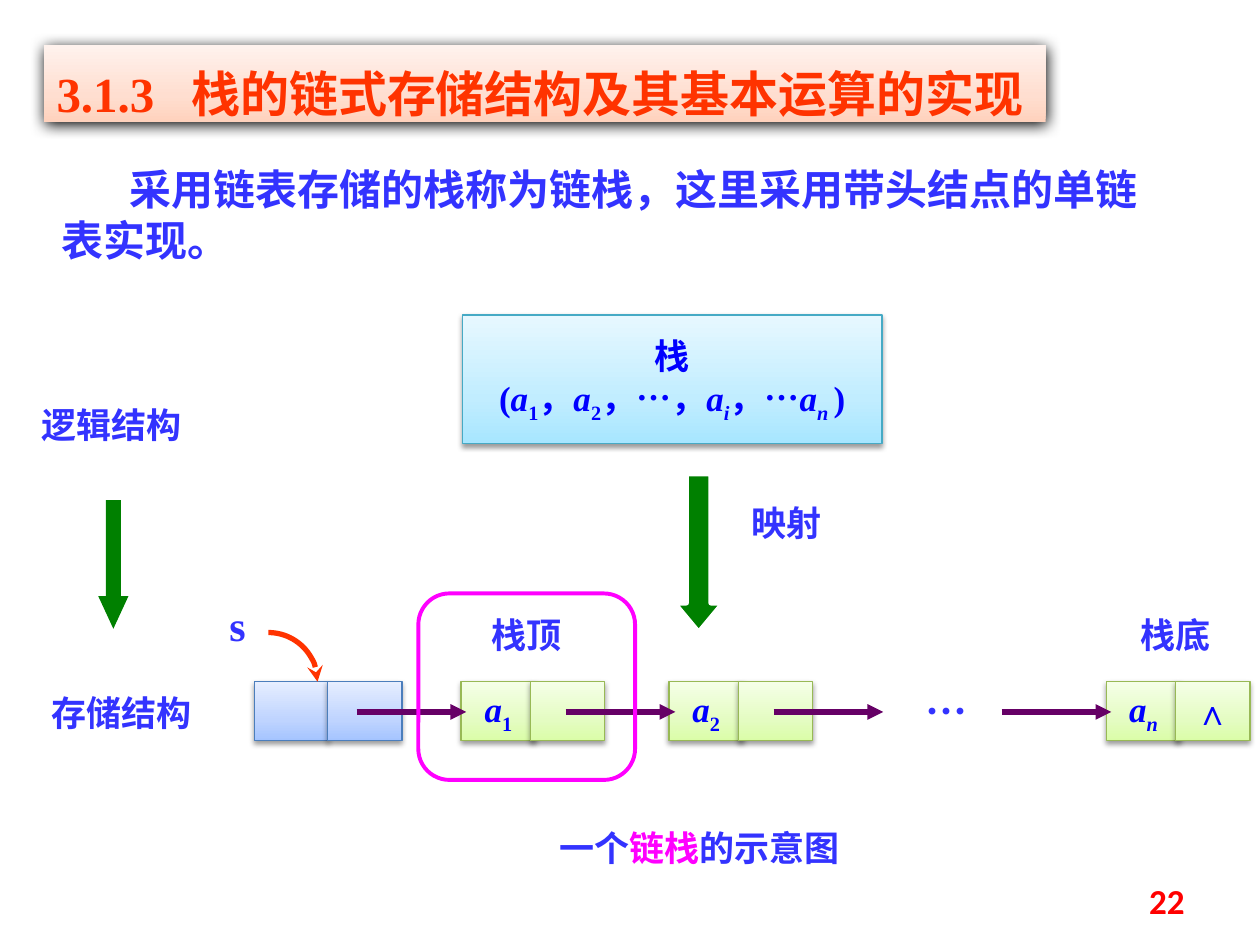
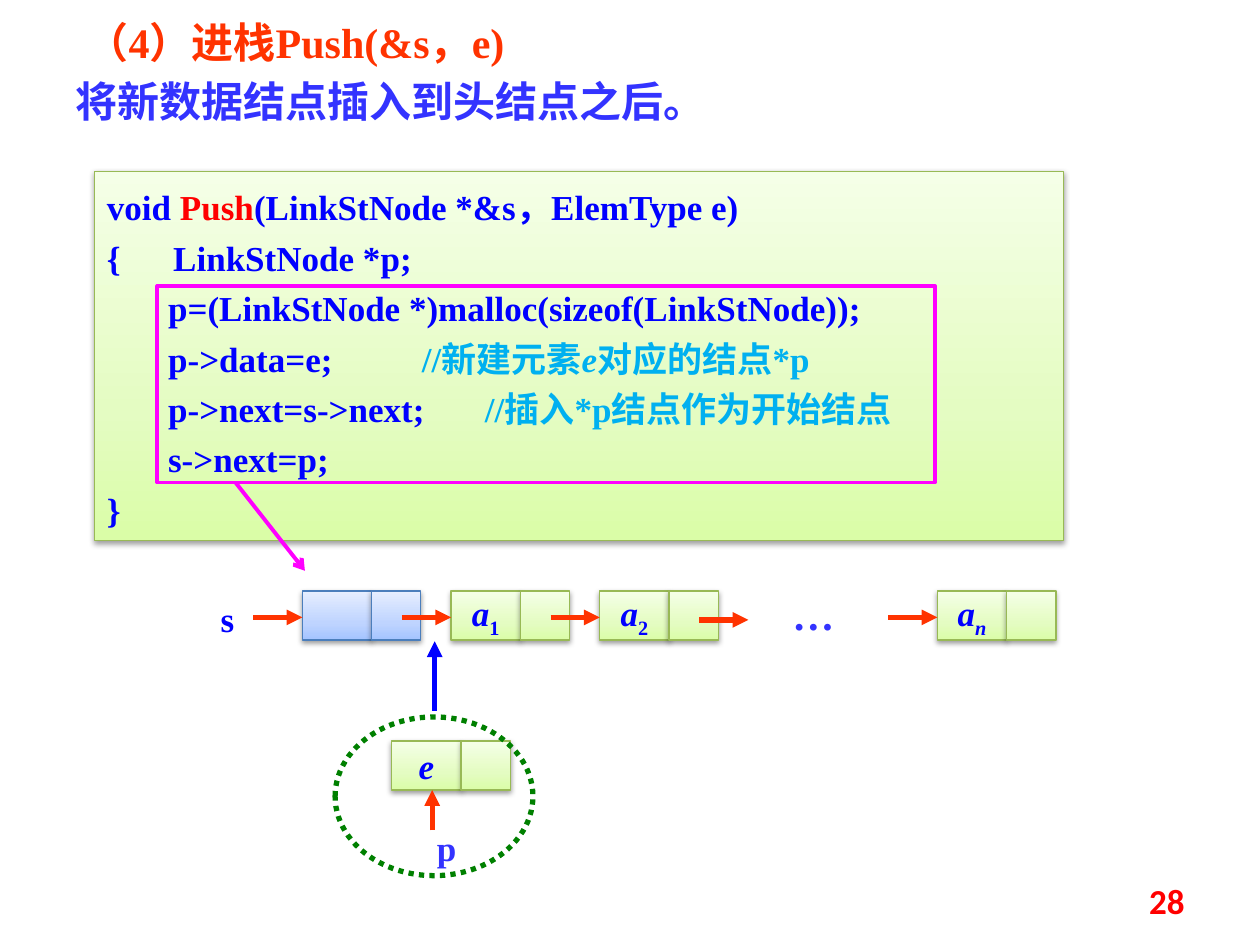
import pptx
import pptx.util
import pptx.dml.color
import pptx.enum.dml
import pptx.enum.shapes
import pptx.enum.text
import pptx.oxml
import pptx.oxml.ns
from dataclasses import dataclass
from lxml import etree

Inches, Pt = pptx.util.Inches, pptx.util.Pt
RGBColor = pptx.dml.color.RGBColor
Shape = pptx.enum.shapes.MSO_SHAPE
Align = pptx.enum.text.PP_ALIGN
Anchor = pptx.enum.text.MSO_ANCHOR
qn = pptx.oxml.ns.qn


@dataclass(frozen=True)
class Theme:
    serif: str = "Times New Roman"
    cjk: str = "Noto Sans CJK SC"
    number_font: str = "Calibri"
    title: int = 28
    lead: int = 24
    body: int = 20
    heading: str = "FF3300"
    text: str = "3333FF"
    code: str = "0000FF"
    comment: str = "00B0F0"
    red: str = "FF0000"
    magenta: str = "FF00FF"
    purple: str = "660066"
    green: str = "008000"


THEME = Theme()

# Panel styles: gradient colours from bottom to top, then outline
CYAN = (("A7E6FF", "C1EDFF", "E7F8FF"), "46AAC5")
BLUE = (("A4C4FF", "BFD4FF", "E6EEFF"), "4B7EBC")
LIME = (("DAFDA7", "E4FCC2", "F5FFE7"), "98B955")
PEACH = (("FFD2BD", "FFDED0", "FFF2ED"), None)
SOFT_SHADOW = (38, 3.1, 1.6)    # opacity %, blur pt, distance pt
STRONG_SHADOW = (100, 8.5, 1)

# Text runs are (text, style); a style is "i", "sub", "i sub" or a colour
A1 = [("a", "i"), ("1", "sub")]
A2 = [("a", "i"), ("2", "sub")]
AI = [("a", "i"), ("i", "i sub")]
AN = [("a", "i"), ("n", "i sub")]

TITLE = "3.1.3\t栈的链式存储结构及其基本运算的实现"
INTRO = "采用链表存储的栈称为链栈，这里采用带头结点的单链表实现。"
STACK = [
    "栈",
    [("(", ""), *A1, ("，", ""), *A2, ("，…，", ""), *AI, ("，…", ""),
     ("a", "i"), ("n ", "i sub"), (")", "")],
]
CAPTION = [("一个", ""), ("链栈", THEME.magenta), ("的示意图", "")]
STACK_LABELS = [  # text, left, top, width, alignment
    ("映射", 5.74, 3.93, 1.01, Align.CENTER),
    ("逻辑结构", 0.23, 3.15, 1.49, Align.LEFT),
    ("存储结构", 0.31, 5.44, 1.49, Align.LEFT),
    (CAPTION, 4.26, 6.51, 2.58, Align.CENTER),
    ("栈顶", 3.63, 4.82, 1.1, Align.CENTER),
    ("栈底", 8.78, 4.82, 1.1, Align.CENTER),
]
STACK_NODES = [  # left, link offset, style, data, link
    (2.02, 0.58, BLUE, None, None),
    (3.66, 0.55, LIME, A1, None),
    (5.31, 0.55, LIME, A2, None),
    (8.78, 0.55, LIME, AN, "∧"),
]
STACK_ARROWS = [2.83, 4.49, 6.14, 7.95]

PUSH_HEADING = "（4）进栈Push(&s，e)"
PUSH_SUMMARY = "将新数据结点插入到头结点之后。"
PUSH_CODE = [
    [("void ", ""), ("Push", THEME.red), ("(LinkStNode *&s，ElemType e)", "")],
    "{      LinkStNode *p;",
    "       p=(LinkStNode *)malloc(sizeof(LinkStNode));",
    [("       p->data=e;\t\t", ""), ("//新建元素", THEME.comment),
     ("e", "i " + THEME.comment), ("对应的结点*p", THEME.comment)],
    [("       p->next=s->next;\t", ""), ("//插入*p结点作为开始结点", THEME.comment)],
    "       s->next=p;",
    "}",
]
PUSH_NODES = [  # left, top, style, data
    (2.4, 4.69, BLUE, None),
    (3.58, 4.69, LIME, A1),
    (4.76, 4.69, LIME, A2),
    (7.44, 4.69, LIME, AN),
    (3.11, 5.88, LIME, [("e", "i")]),
]
PUSH_ARROWS = [(2.01, 4.9), (3.19, 4.9), (4.37, 4.9), (7.05, 4.9), (5.55, 4.92)]
PUSH_LABELS = [  # text, left, top, width, size, colour
    ("s", 1.61, 4.69, 0.39, THEME.body, THEME.code),
    ("…", 6.18, 4.62, 0.55, THEME.lead, THEME.text),
    ("p", 3.19, 6.51, 0.71, THEME.body, THEME.text),
]


def box(left, top, width, height):
    return Inches(left), Inches(top), Inches(width), Inches(height)


def set_font(paragraph, size, color, name=THEME.serif):
    font = paragraph.font
    font.size, font.bold, font.name = Pt(size), True, name
    font.color.rgb = RGBColor.from_string(color)
    properties = paragraph._p.pPr.find(qn("a:defRPr"))
    etree.SubElement(properties, qn("a:ea")).set("typeface", THEME.cjk)


def add_runs(paragraph, runs):
    for text, style in [(runs, "")] if isinstance(runs, str) else runs:
        run = paragraph.add_run()
        run.text = text
        for mark in style.split():
            if mark == "i":
                run.font.italic = True
            elif mark == "sub":
                run._r.get_or_add_rPr().set("baseline", "-25000")
            else:
                run.font.color.rgb = RGBColor.from_string(mark)


def write(shape, lines, size=THEME.body, color=THEME.text, align=Align.LEFT,
          anchor=Anchor.TOP, wrap=True, spacing=None, indents=(), tab=None,
          name=THEME.serif):
    """Fill a shape; each indent is (left margin, first-line indent) in inches."""
    frame = shape.text_frame
    frame.word_wrap, frame.vertical_anchor = wrap, anchor
    for index, runs in enumerate(lines):
        paragraph = frame.paragraphs[0] if index == 0 else frame.add_paragraph()
        paragraph.alignment = align
        if spacing:
            paragraph.line_spacing = spacing
        properties = paragraph._p.get_or_add_pPr()
        if indents:
            margin, first = indents[index]
            properties.set("marL", str(Inches(margin)))
            properties.set("indent", str(Inches(first)))
        if tab:
            tabs = etree.SubElement(properties, qn("a:tabLst"))
            etree.SubElement(tabs, qn("a:tab"), pos=str(Inches(tab)), algn="l")
        set_font(paragraph, size, color, name)
        add_runs(paragraph, runs)
    return frame


def add_label(slide, text, left, top, width, height=0.44, **options):
    textbox = slide.shapes.add_textbox(*box(left, top, width, height))
    return write(textbox, [text], **options)


def set_line(shape, color, width, head=None):
    line = shape.line
    line.fill.solid()
    line.fill.fore_color.rgb = RGBColor.from_string(color)
    line.width = Pt(width)
    if head:
        etree.SubElement(line._ln, qn("a:tailEnd"), type=head)


def add_plain(slide, kind, place, fill=None, line=None, width=3, head=None):
    shape = slide.shapes.add_shape(kind, *box(*place))
    shape.shadow.inherit = False
    if fill:
        shape.fill.solid()
        shape.fill.fore_color.rgb = RGBColor.from_string(fill)
    else:
        shape.fill.background()
    if line:
        set_line(shape, line, width, head)
    else:
        shape.line.fill.background()
    return shape


def add_panel(slide, place, style, shadow=SOFT_SHADOW):
    """Add a rectangle with a vertical gradient and a drop shadow."""
    colors, outline = style
    shape = add_plain(slide, Shape.RECTANGLE, place, colors[0], outline, 0.75)
    stops = "".join(f'<a:gs pos="{position}000"><a:srgbClr val="{color}"/></a:gs>'
                    for position, color in zip((0, 35, 100), colors))
    gradient = pptx.oxml.parse_xml(
        f'<a:gradFill {pptx.oxml.ns.nsdecls("a")} rotWithShape="1"><a:gsLst>{stops}'
        '</a:gsLst><a:lin ang="16200000" scaled="0"/></a:gradFill>')
    properties = shape._element.spPr
    properties.replace(properties.find(qn("a:solidFill")), gradient)
    opacity, blur, distance = shadow
    outer = etree.SubElement(
        properties.find(qn("a:effectLst")), qn("a:outerShdw"), blurRad=str(Pt(blur)),
        dist=str(Pt(distance)), dir="5400000", rotWithShape="0")
    black = etree.SubElement(outer, qn("a:srgbClr"), val="000000")
    etree.SubElement(black, qn("a:alpha"), val=f"{opacity}000")
    return shape


def add_node(slide, left, top, height, data_width, link_width, offset, style, texts):
    """Add a list node: a data cell and a link cell."""
    for x, width, text in zip((left, left + offset), (data_width, link_width), texts):
        cell = add_panel(slide, (x, top, width, height), style)
        if text:
            write(cell, [text], color=THEME.code, align=Align.CENTER,
                  anchor=Anchor.MIDDLE, wrap=False)


def add_arrow(slide, start, end, color, width=3, head="triangle"):
    connector = slide.shapes.add_connector(
        pptx.enum.shapes.MSO_CONNECTOR.STRAIGHT,
        *(Inches(value) for value in (*start, *end)))
    set_line(connector, color, width, head)
    etree.SubElement(connector._element.spPr, qn("a:effectLst"))


def add_down_arrow(slide, place, head_ratio, line=None):
    arrow = add_plain(slide, Shape.DOWN_ARROW, place, THEME.green, line)
    arrow.adjustments[1] = head_ratio


def add_slide(presentation, number):
    slide = presentation.slides.add_slide(presentation.slide_layouts[6])
    add_label(slide, number, 7.17, 6.95, 2.33, 0.4, color=THEME.red, align=Align.RIGHT,
              anchor=Anchor.MIDDLE, name=THEME.number_font)
    return slide


def build_linked_stack(presentation):
    slide = add_slide(presentation, "22")
    title = add_panel(slide, (0.35, 0.36, 7.95, 0.61), PEACH, STRONG_SHADOW)
    write(title, [TITLE], THEME.title, THEME.heading, spacing=1.2, tab=1.07)
    add_label(slide, INTRO, 0.39, 1.25, 9.05, 0.91, size=THEME.lead,
              indents=[(0, 0.54)])

    stack = add_panel(slide, (3.67, 2.5, 3.33, 1.02), CYAN)
    write(stack, STACK, color=THEME.code, align=Align.CENTER,
          anchor=Anchor.MIDDLE, wrap=False)
    add_down_arrow(slide, (5.35, 3.76, 0.39, 1.26), 0.6, "FFFFFF")
    add_down_arrow(slide, (0.78, 3.97, 0.24, 1.02), 1.08)

    for left, offset, style, *texts in STACK_NODES:
        add_node(slide, left, 5.41, 0.47, 0.59, 0.59, offset, style, texts)
    for left in STACK_ARROWS:
        add_arrow(slide, (left, 5.65), (left + 0.87, 5.65), THEME.purple)
    for text, left, top, width, align in STACK_LABELS:
        add_label(slide, text, left, top, width, align=align)
    add_label(slide, "…", 7.04, 5.39, 0.95, 0.5, size=THEME.lead,
              align=Align.CENTER, name=THEME.cjk)
    add_label(slide, "s", 1.65, 4.71, 0.47, 0.5, size=THEME.lead, align=Align.CENTER)
    add_plain(slide, Shape.ARC, (1.74, 5.02, 0.78, 0.78), line=THEME.heading,
              head="stealth")
    add_plain(slide, Shape.ROUNDED_RECTANGLE, (3.32, 4.71, 1.72, 1.48),
              line=THEME.magenta, width=2.25)


def build_push(presentation):
    slide = add_slide(presentation, "28")
    heading = slide.shapes.add_textbox(*box(0.17, 0.16, 9.67, 1.03))
    frame = write(heading, [PUSH_HEADING, [(PUSH_SUMMARY, THEME.text)]], THEME.lead,
                  THEME.heading, Align.JUSTIFY, indents=[(0.42, 0), (0.33, 0)])
    frame.paragraphs[0].line_spacing = 0.8
    frame.paragraphs[1].space_before = Pt(5)

    code = add_panel(slide, (0.75, 1.36, 7.69, 2.93), LIME)
    write(code, PUSH_CODE, color=THEME.code, spacing=1.2)
    for left, top, style, data in PUSH_NODES:
        add_node(slide, left, top, 0.39, 0.55, 0.39, 0.55, style, (data, None))
    for left, top in PUSH_ARROWS:
        add_arrow(slide, (left, top), (left + 0.39, top), THEME.heading)
    for text, left, top, width, size, color in PUSH_LABELS:
        add_label(slide, text, left, top, width, size=size, color=color,
                  align=Align.CENTER)

    add_arrow(slide, (3.43, 6.59), (3.43, 6.27), THEME.heading)
    add_arrow(slide, (3.45, 5.64), (3.45, 5.09), THEME.code)
    new_node = add_plain(slide, Shape.OVAL, (2.66, 5.69, 1.57, 1.26), line=THEME.green)
    new_node.line.dash_style = pptx.enum.dml.MSO_LINE.ROUND_DOT
    add_plain(slide, Shape.RECTANGLE, (1.25, 2.27, 6.17, 1.56),
              line=THEME.magenta, width=2.25)
    add_arrow(slide, (1.87, 3.83), (2.42, 4.53), THEME.magenta, 2.25, "arrow")


def main():
    presentation = pptx.Presentation()
    presentation.slide_width, presentation.slide_height = Inches(10), Inches(7.5)
    build_linked_stack(presentation)
    build_push(presentation)
    presentation.save("out.pptx")


if __name__ == "__main__":
    main()
